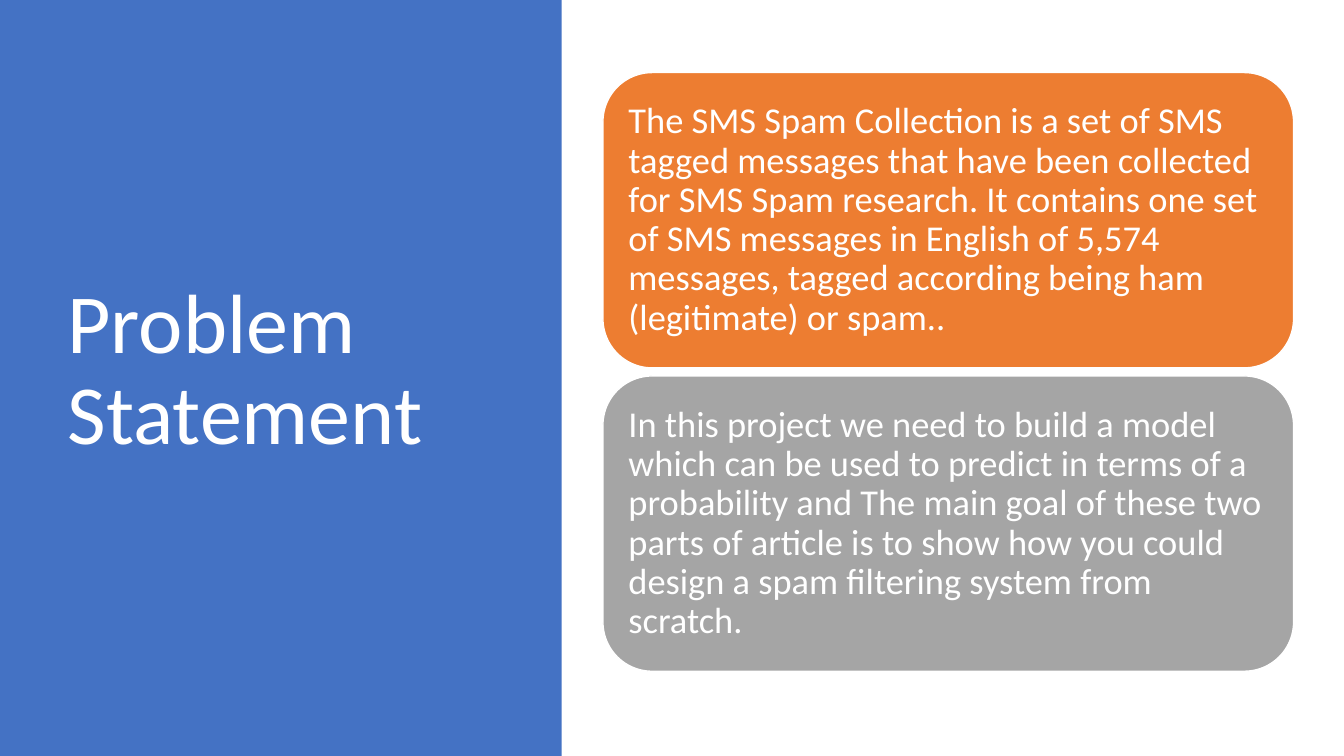
from dataclasses import dataclass

import pptx
import pptx.dml.color
import pptx.enum.shapes
import pptx.enum.text
import pptx.shapes.autoshape
import pptx.slide
import pptx.text.text
import pptx.util

Inches = pptx.util.Inches
Shape = pptx.enum.shapes.MSO_SHAPE


@dataclass(frozen=True)
class Theme:
    font: str = "Calibri"
    panel: str = "4472C4"
    orange: str = "ED7D31"
    grey: str = "A5A5A5"
    white: str = "FFFFFF"
    title_size: int = 60
    body_size: int = 26


@dataclass(frozen=True)
class Box:
    left: float
    top: float
    width: float
    height: float


@dataclass(frozen=True)
class Card:
    text: str
    fill: str


THEME = Theme()
PANEL = Box(0, 0, 5.57, 7.5)
TITLE = Box(0.57, 0.68, 4.16, 6.02)
FIRST_CARD = Box(5.98, 0.72, 6.85, 2.93)
CARD_STEP = 3.01
CARD_INSET = 0.11

CARDS = [
    Card(
        "The SMS Spam Collection is a set of SMS tagged messages that have been "
        "collected for SMS Spam research. It contains one set of SMS messages in "
        "English of 5,574 messages, tagged according being ham (legitimate) or spam..",
        THEME.orange,
    ),
    Card(
        "In this project we need to build a model which can be used to predict in "
        "terms of a probability and The main goal of these two parts of article is "
        "to show how you could design a spam filtering system from scratch.",
        THEME.grey,
    ),
]


def rgb(value: str) -> pptx.dml.color.RGBColor:
    return pptx.dml.color.RGBColor.from_string(value)


def add_filled(s: pptx.slide.Slide, kind: Shape, box: Box,
               fill: str) -> pptx.shapes.autoshape.Shape:
    sp = s.shapes.add_shape(kind, Inches(box.left), Inches(box.top),
                            Inches(box.width), Inches(box.height))
    sp.shadow.inherit = False
    sp.fill.solid()
    sp.fill.fore_color.rgb = rgb(fill)
    sp.line.fill.background()
    return sp


def write(tf: pptx.text.text.TextFrame, text: str, size: int) -> None:
    """Set white, left-aligned, vertically centred text."""
    tf.text = text
    tf.word_wrap = True
    tf.auto_size = pptx.enum.text.MSO_AUTO_SIZE.NONE
    tf.vertical_anchor = pptx.enum.text.MSO_ANCHOR.MIDDLE
    p = tf.paragraphs[0]
    p.alignment = pptx.enum.text.PP_ALIGN.LEFT
    p.line_spacing = 0.9
    r = p.runs[0]
    r.font.name = THEME.font
    r.font.size = pptx.util.Pt(size)
    r.font.color.rgb = rgb(THEME.white)


def add_title(s: pptx.slide.Slide, text: str) -> None:
    title = s.shapes.title
    title.left, title.top = Inches(TITLE.left), Inches(TITLE.top)
    title.width, title.height = Inches(TITLE.width), Inches(TITLE.height)
    write(title.text_frame, text, THEME.title_size)
    # Bring the title in front of the panel
    title.element.getparent().append(title.element)


def add_card(s: pptx.slide.Slide, card: Card, top: float) -> None:
    box = Box(FIRST_CARD.left, top, FIRST_CARD.width, FIRST_CARD.height)
    sp = add_filled(s, Shape.ROUNDED_RECTANGLE, box, card.fill)
    sp.line.color.rgb = rgb(THEME.white)
    sp.line.width = pptx.util.Pt(1)
    tf = sp.text_frame
    tf.margin_left = tf.margin_right = Inches(CARD_INSET)
    tf.margin_top = tf.margin_bottom = Inches(CARD_INSET)
    write(tf, card.text, THEME.body_size)


def main() -> None:
    prs = pptx.Presentation()
    prs.slide_width, prs.slide_height = Inches(13.33), Inches(7.5)
    s = prs.slides.add_slide(prs.slide_layouts.get_by_name("Title Only"))
    add_filled(s, Shape.RECTANGLE, PANEL, THEME.panel)
    add_title(s, "Problem Statement")
    for i, card in enumerate(CARDS):
        add_card(s, card, FIRST_CARD.top + i * CARD_STEP)
    prs.save("out.pptx")


if __name__ == "__main__":
    main()
